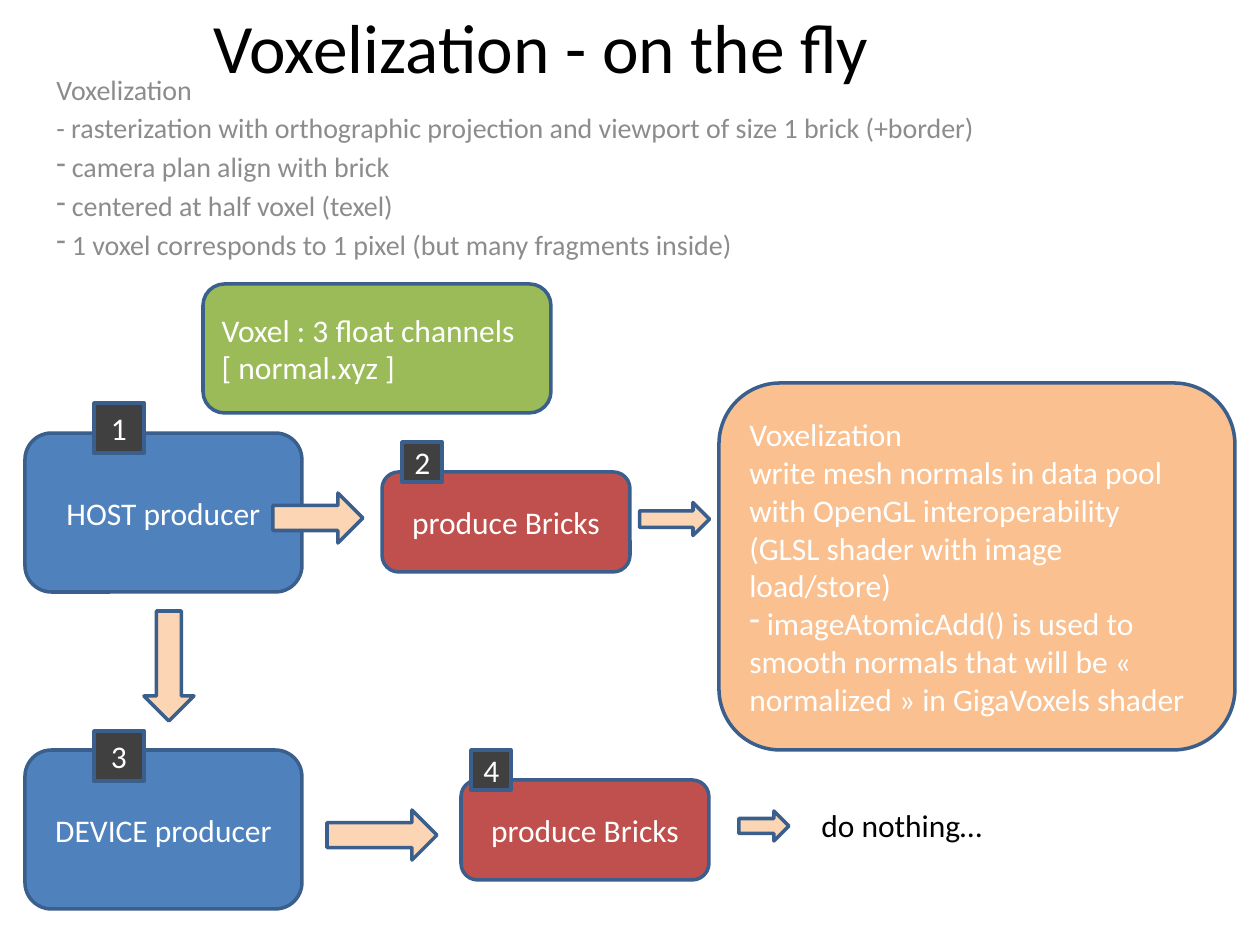
from dataclasses import dataclass

from lxml import etree
from pptx import Presentation
from pptx.dml.color import RGBColor
from pptx.enum.shapes import MSO_SHAPE
from pptx.enum.text import MSO_ANCHOR, MSO_AUTO_SIZE, PP_ALIGN
from pptx.oxml.ns import qn
from pptx.util import Emu, Pt

ROUNDED, SQUARE, ARROW = (
    MSO_SHAPE.ROUNDED_RECTANGLE, MSO_SHAPE.RECTANGLE, MSO_SHAPE.DOWN_ARROW)
LEFT, CENTER = PP_ALIGN.LEFT, PP_ALIGN.CENTER
TOP, MIDDLE = MSO_ANCHOR.TOP, MSO_ANCHOR.MIDDLE
EMU_PER_PX = 914400 / 126
BULLET = "• "  # marks a line that gets a dash bullet


@dataclass(frozen=True)
class Theme:
    font: str = "Calibri"
    title_size: float = 39.6
    body_size: float = 18
    principles_size: float = 16
    line_width: float = 2
    ink: str = "000000"
    muted: str = "8C8C8C"
    white: str = "FFFFFF"
    outline: str = "3A5F8C"
    producer: str = "4F81BD"
    bricks: str = "C0504D"
    voxel: str = "9BBB59"
    shader: str = "FAC090"
    arrow: str = "FCD5B5"
    badge: str = "404040"


THEME = Theme()


def px(value):
    return Emu(round(value * EMU_PER_PX))


def add_dash_bullet(paragraph):
    properties = paragraph._p.get_or_add_pPr()
    etree.SubElement(properties, qn("a:buFontTx"))
    etree.SubElement(properties, qn("a:buChar")).set("char", "-")


def write_lines(frame, lines, size, color, align, gap=0):
    for index, line in enumerate(lines):
        paragraph = frame.paragraphs[0] if index == 0 else frame.add_paragraph()
        if line.startswith(BULLET):
            add_dash_bullet(paragraph)
            line = " " + line.removeprefix(BULLET)
        paragraph.text = line
        paragraph.alignment = align
        if index and gap:
            paragraph.space_before = Pt(gap)
        paragraph.font.name = THEME.font
        paragraph.font.size = Pt(size)
        paragraph.font.color.rgb = RGBColor.from_string(color)


def add_text(slide, box, lines, size, color, align=LEFT, anchor=TOP, gap=0, wrap=True):
    frame = slide.shapes.add_textbox(*map(px, box)).text_frame
    frame.word_wrap = wrap
    frame.vertical_anchor = anchor
    if not wrap:
        frame.auto_size = MSO_AUTO_SIZE.SHAPE_TO_FIT_TEXT
    write_lines(frame, lines, size, color, align, gap)


def add_block(slide, kind, box, fill, lines=(), align=CENTER):
    block = slide.shapes.add_shape(kind, *map(px, box))
    block.shadow.inherit = False
    block.fill.solid()
    block.fill.fore_color.rgb = RGBColor.from_string(fill)
    block.line.color.rgb = RGBColor.from_string(THEME.outline)
    block.line.width = Pt(THEME.line_width)
    block.text_frame.vertical_anchor = MIDDLE
    write_lines(block.text_frame, lines, THEME.body_size, THEME.white, align)
    return block


def add_arrow(slide, box, rotation=270):
    """A down arrow; turned by 270 degrees it points right."""
    add_block(slide, ARROW, box, THEME.arrow).rotation = rotation


def add_badge(slide, left, top, side, number):
    add_block(slide, SQUARE, (left, top, side, side), THEME.badge, [number])


def main():
    presentation = Presentation()
    presentation.slide_width, presentation.slide_height = px(1260), px(945)
    slide = presentation.slides.add_slide(presentation.slide_layouts[6])

    # Title
    add_text(slide, (95, 16, 892, 59), ["Voxelization - on the fly"],
             THEME.title_size, THEME.ink, CENTER, MIDDLE)

    # Producers and their brick steps
    for top, producer in ((433, "HOST producer"), (750, "DEVICE producer")):
        add_block(slide, ROUNDED, (25, top, 277, 159), THEME.producer, [producer])
    for left, top in ((382, 472), (461, 780)):
        add_block(slide, ROUNDED, (left, top, 248, 100), THEME.bricks,
                  ["produce Bricks"])

    # Voxel format
    add_block(slide, ROUNDED, (203, 284, 348, 129), THEME.voxel,
              ["Voxel : 3 float channels", "[ normal.xyz ]"], LEFT)

    # Shader description
    add_block(slide, ROUNDED, (719, 383, 516, 367), THEME.shader, [
        "Voxelization",
        "write mesh normals in data pool",
        "with OpenGL interoperability",
        "(GLSL shader with image load/store)",
        BULLET + "imageAtomicAdd() is used to smooth normals that will be "
        "« normalized » in GigaVoxels shader",
    ], LEFT)

    # Flow arrows
    for box in ((293, 473, 50, 90), (357, 780, 50, 110),
                (658, 484, 33, 70), (749, 801, 30, 50)):
        add_arrow(slide, box)
    add_arrow(slide, (144, 611, 50, 110), rotation=0)

    # Step numbers
    for left, top, side, number in ((94, 403, 50, "1"), (94, 731, 50, "3"),
                                    (402, 442, 40, "2"), (471, 750, 40, "4")):
        add_badge(slide, left, top, side, number)

    # Outcome of the device branch
    add_text(slide, (809, 800, 188, 50), ["do nothing…"],
             THEME.body_size, THEME.ink, wrap=False)

    # Voxelization principles
    add_text(slide, (44, 66, 992, 228), [
        "Voxelization",
        "- rasterization with orthographic projection and viewport of size "
        "1 brick (+border)",
        BULLET + "camera plan align with brick",
        BULLET + "centered at half voxel (texel)",
        BULLET + "1 voxel corresponds to 1 pixel (but many fragments inside)",
    ], THEME.principles_size, THEME.muted, gap=3)

    presentation.save("out.pptx")


if __name__ == "__main__":
    main()
